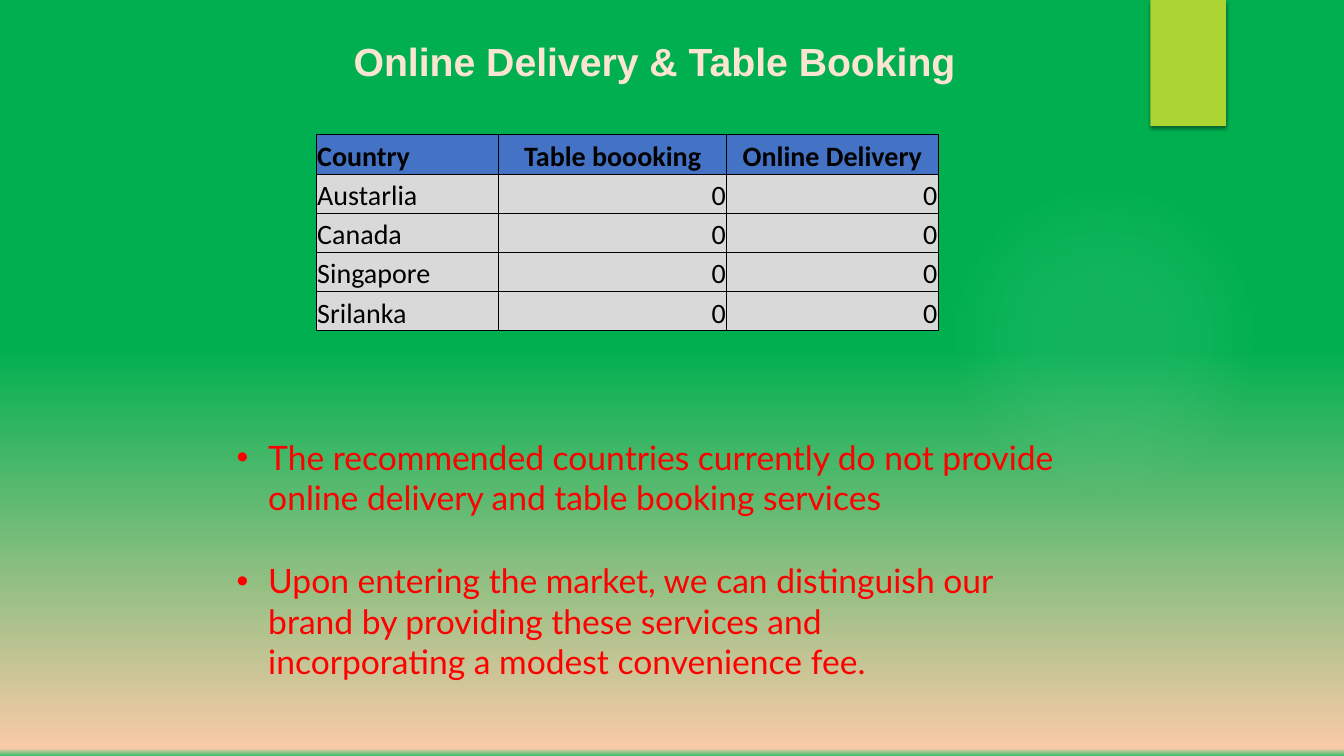
from dataclasses import dataclass

from lxml.etree import SubElement
from pptx import Presentation
from pptx.dml.color import RGBColor
from pptx.enum.shapes import MSO_SHAPE
from pptx.enum.text import MSO_ANCHOR, PP_ALIGN
from pptx.oxml import parse_xml
from pptx.oxml.ns import nsdecls, qn
from pptx.util import Pt


@dataclass(frozen=True)
class Theme:
    title_font: str = "Arial"
    table_font: str = "Calibri"
    body_font: str = "Lato"
    title_size: int = 28
    table_size: int = 20
    body_size: int = 24
    title: str = "FCE4D3"
    body: str = "FF0000"
    ink: str = "000000"
    accent: str = "ACD433"
    header: str = "4472C4"
    cell: str = "D9D9D9"
    # Gradient stops: position %, colour, opacity %
    backdrop: tuple = ((46, "00B050", 100), (99, "F9CAA7", 100), (100, "37BF6E", 100))
    glow: tuple = ((0, "F7F7F7", 7), (36, "F7F7F7", 6), (69, "F7F7F7", 0))


class SlideBuilder:
    def __init__(self, page, theme):
        self.page = page
        self.theme = theme

    def gradient(self, holder, stops, direction):
        """Swap the solid fill directly inside holder for a gradient."""
        stop_xml = "".join(
            f'<a:gs pos="{position * 1000}"><a:srgbClr val="{color}">'
            f'<a:alpha val="{opacity * 1000}"/></a:srgbClr></a:gs>'
            for position, color, opacity in stops
        )
        fill = parse_xml(
            f'<a:gradFill {nsdecls("a")} rotWithShape="1">'
            f"<a:gsLst>{stop_xml}</a:gsLst>{direction}</a:gradFill>"
        )
        holder.replace(holder.find(qn("a:solidFill")), fill)

    def background(self):
        self.page.background.fill.solid()
        holder = self.page.element.find(".//" + qn("p:bgPr"))
        self.gradient(holder, self.theme.backdrop, '<a:lin ang="5400000" scaled="0"/>')

    def shape(self, kind, left, top, width, height, color):
        shape = self.page.shapes.add_shape(kind, Pt(left), Pt(top), Pt(width), Pt(height))
        shape.shadow.inherit = False
        shape.fill.solid()
        shape.fill.fore_color.rgb = RGBColor.from_string(color)
        shape.line.fill.background()
        return shape

    def glow(self, left, top, size):
        shape = self.shape(MSO_SHAPE.OVAL, left, top, size, size, self.theme.glow[0][1])
        center = '<a:path path="circle"><a:fillToRect l="50000" t="50000" r="50000" b="50000"/></a:path>'
        self.gradient(shape.element.spPr, self.theme.glow, center)

    def ribbon(self, left, top, width, height):
        shape = self.shape(MSO_SHAPE.RECTANGLE, left, top, width, height, self.theme.accent)
        effects = shape.element.spPr.find(qn("a:effectLst"))
        effects.append(parse_xml(
            f'<a:outerShdw {nsdecls("a")} blurRad="{Pt(3)}" dist="{Pt(2)}" dir="5400000" rotWithShape="0">'
            f'<a:srgbClr val="{self.theme.ink}"><a:alpha val="45000"/></a:srgbClr></a:outerShdw>'
        ))

    def style(self, para, font, size, color, bold=False):
        for span in para.runs:
            span.font.name = font
            span.font.size = Pt(size)
            span.font.bold = bold
            span.font.color.rgb = RGBColor.from_string(color)

    def text(self, words, left, top, width, height):
        box = self.page.shapes.add_textbox(Pt(left), Pt(top), Pt(width), Pt(height))
        box.text_frame.word_wrap = True
        box.text_frame.text = words
        return box.text_frame.paragraphs[0]

    def title(self, words, *place):
        theme = self.theme
        self.style(self.text(words, *place), theme.title_font, theme.title_size, theme.title, True)

    def bullet(self, words, *place):
        theme = self.theme
        para = self.text(words, *place)
        properties = para._p.get_or_add_pPr()
        properties.set("marL", str(Pt(22.5)))
        properties.set("indent", str(-Pt(22.5)))
        SubElement(properties, qn("a:buFont"), typeface="Arial")
        SubElement(properties, qn("a:buChar"), char="•")
        self.style(para, theme.body_font, theme.body_size, theme.body)

    def borders(self, cell):
        properties = cell._tc.get_or_add_tcPr()
        for index, side in enumerate(("lnL", "lnR", "lnT", "lnB")):
            properties.insert(index, parse_xml(
                f'<a:{side} {nsdecls("a")} w="{Pt(0.5)}"><a:solidFill>'
                f'<a:srgbClr val="{self.theme.ink}"/></a:solidFill></a:{side}>'
            ))

    def table(self, rows, left, top, column_widths, row_height):
        theme = self.theme
        table = self.page.shapes.add_table(
            len(rows), len(column_widths), Pt(left), Pt(top),
            Pt(sum(column_widths)), Pt(row_height * len(rows)),
        ).table
        for column, width in zip(table.columns, column_widths):
            column.width = Pt(width)
        for row_index, row in enumerate(rows):
            table.rows[row_index].height = Pt(row_height)
            is_header = row_index == 0
            for column_index, words in enumerate(row):
                cell = table.cell(row_index, column_index)
                cell.margin_left = cell.margin_right = cell.margin_top = Pt(0.6)
                cell.margin_bottom = Pt(0)
                cell.vertical_anchor = MSO_ANCHOR.BOTTOM
                cell.fill.solid()
                cell.fill.fore_color.rgb = RGBColor.from_string(theme.header if is_header else theme.cell)
                self.borders(cell)
                cell.text_frame.text = words
                para = cell.text_frame.paragraphs[0]
                if column_index == 0:
                    para.alignment = PP_ALIGN.LEFT
                else:
                    para.alignment = PP_ALIGN.CENTER if is_header else PP_ALIGN.RIGHT
                self.style(para, theme.table_font, theme.table_size, theme.ink, is_header)


def main():
    deck = Presentation()
    deck.slide_width, deck.slide_height = Pt(960), Pt(540)
    page = deck.slides.add_slide(deck.slide_layouts[6])
    slide = SlideBuilder(page, Theme())

    # Backdrop and decoration
    slide.background()
    slide.glow(677.5, 131.8, 221.8)
    slide.ribbon(821.7, 0, 54, 90)

    # Title
    slide.title("Online Delivery & Table Booking", 245.5, 23.3, 468.7, 41)

    # Services by country
    countries = ("Austarlia", "Canada", "Singapore", "Srilanka")
    rows = [("Country", "Table boooking", "Online Delivery")]
    rows += [(country, "0", "0") for country in countries]
    slide.table(rows, 226, 96.3, (130.3, 162.7, 151.2), 28)

    # Recommendations
    slide.bullet(
        "The recommended countries currently do not provide online delivery and table booking services",
        162, 308.2, 603.4, 65.5,
    )
    slide.bullet(
        "Upon entering the market, we can distinguish our brand by providing these services "
        "and incorporating a modest convenience fee.",
        162, 396.7, 555.1, 94.3,
    )

    deck.save("out.pptx")


if __name__ == "__main__":
    main()
